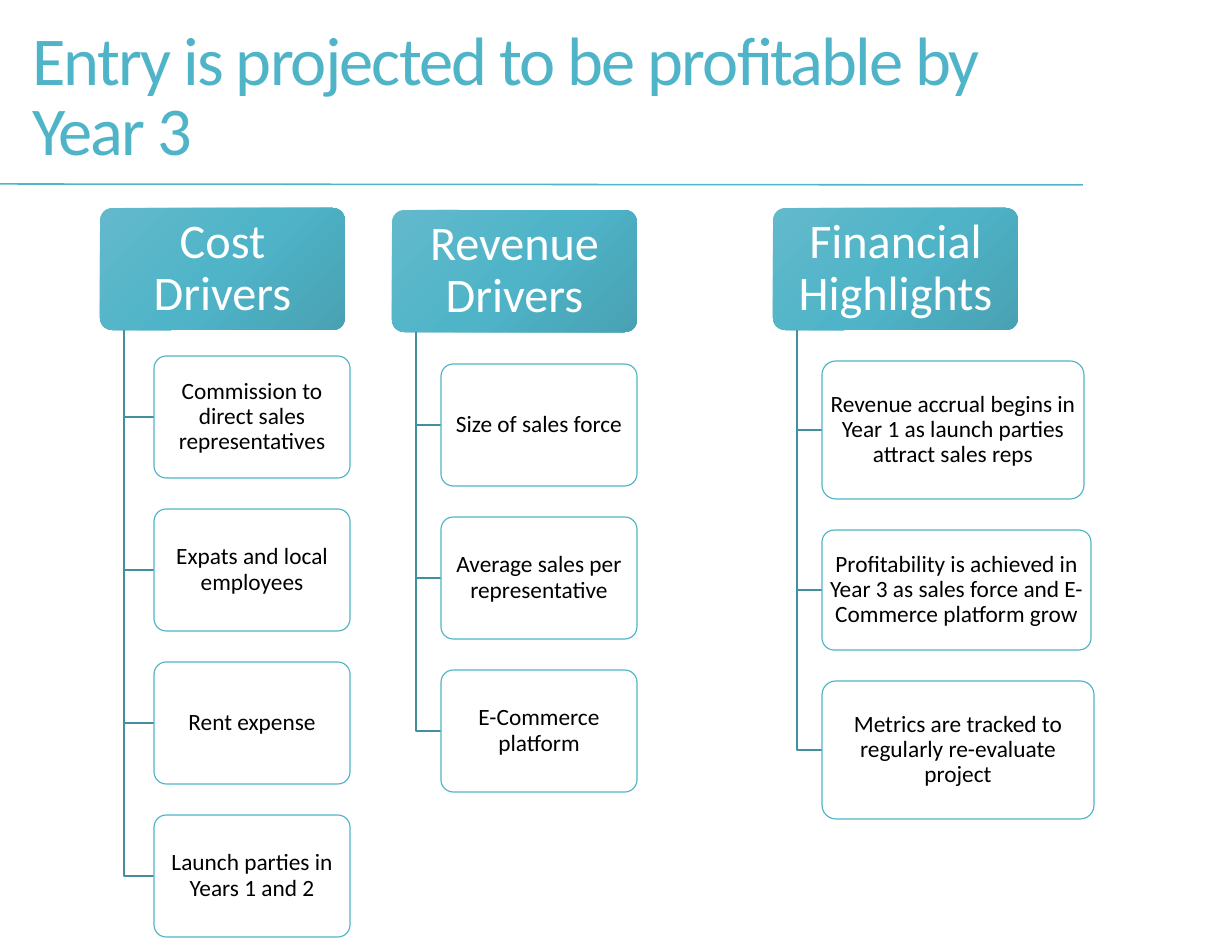
from copy import deepcopy
from dataclasses import dataclass

from lxml.etree import SubElement
from pptx import Presentation
from pptx.dml.color import RGBColor
from pptx.enum.shapes import MSO_CONNECTOR, MSO_SHAPE
from pptx.enum.text import MSO_ANCHOR as Anchor, MSO_AUTO_SIZE as AutoSize, PP_ALIGN as Align
from pptx.oxml.ns import qn
from pptx.util import Pt

EMU_PER_PX = 914400 / 112
FONT = "Calibri"
TEAL, DARK_TEAL, WHITE, BLACK = "50B4C8", "4090A0", "FFFFFF", "000000"
HEADER_STOPS = [(0, "61B9CB"), (0.5, TEAL), (1, "48A2B4")]
HEADER_WIDTH, HEADER_HEIGHT = 245, 122
TRUNK_INSET = 24
CARD_GAP = 31


@dataclass
class Card:
    text: str
    width: int = 196
    height: int = 122


@dataclass
class Column:
    heading: str
    left: int
    top: int
    card_left: int
    card_top: int
    cards: list[Card]


COLUMNS = [
    Column("Cost Drivers", 100, 208, 154, 356, [
        Card("Commission to direct sales representatives"),
        Card("Expats and local employees"),
        Card("Rent expense"),
        Card("Launch parties in Years 1 and 2"),
    ]),
    Column("Revenue Drivers", 392, 210, 441, 364, [
        Card("Size of sales force"),
        Card("Average sales per representative"),
        Card("E-Commerce platform"),
    ]),
    Column("Financial Highlights", 773, 208, 822, 361, [
        Card("Revenue accrual begins in Year 1 as launch parties attract sales reps", 262, 138),
        Card("Profitability is achieved in Year 3 as sales force and E-Commerce platform grow",
             269, 120),
        Card("Metrics are tracked to regularly re-evaluate project", 272, 138),
    ]),
]


def px(value: int) -> int:
    return round(value * EMU_PER_PX)


def color(value: str) -> RGBColor:
    return RGBColor.from_string(value)


def apply_format(target, values: dict) -> None:
    for name, value in values.items():
        setattr(target, name, value)


def set_line(shape, line_color: str, width: float) -> None:
    shape.line.color.rgb = color(line_color)
    shape.line.width = Pt(width)


def write_text(shape, text: str, size: int, text_color: str, frame_format: dict,
               align=Align.CENTER, spacing: float = 0.9):
    frame = shape.text_frame
    apply_format(frame, {"word_wrap": True, "auto_size": AutoSize.NONE,
                         "vertical_anchor": Anchor.MIDDLE, **frame_format})
    paragraph = frame.paragraphs[0]
    apply_format(paragraph, {"alignment": align, "line_spacing": spacing})
    run = paragraph.add_run()
    run.text = text
    apply_format(run.font, {"name": FONT, "size": Pt(size)})
    run.font.color.rgb = color(text_color)
    return run


def add_box(slide, left: int, top: int, width: int, height: int,
            text: str, size: int, text_color: str, inset_x: int, inset_y: int):
    shape = slide.shapes.add_shape(MSO_SHAPE.ROUNDED_RECTANGLE,
                                   px(left), px(top), px(width), px(height))
    shape.shadow.inherit = False
    shape.adjustments[0] = 0.1
    write_text(shape, text, size, text_color, {
        "margin_left": px(inset_x), "margin_right": px(inset_x),
        "margin_top": px(inset_y), "margin_bottom": px(inset_y)})
    return shape


def add_header(slide, column: Column) -> None:
    shape = add_box(slide, column.left, column.top, HEADER_WIDTH, HEADER_HEIGHT,
                    column.heading, 31, WHITE, 7, 4)
    shape.line.fill.background()
    shape.fill.gradient()
    shape.fill.gradient_angle = 315
    # A new gradient has two stops; add the middle one
    stop_list = shape._element.spPr.find(".//" + qn("a:gsLst"))
    stop_list.insert(1, deepcopy(stop_list[0]))
    for stop, (position, stop_color) in zip(shape.fill.gradient_stops, HEADER_STOPS):
        stop.position = position
        stop.color.rgb = color(stop_color)


def add_card(slide, left: int, top: int, card: Card) -> None:
    shape = add_box(slide, left, top, card.width, card.height, card.text, 15, BLACK, 3, 2)
    shape.fill.solid()
    shape.fill.fore_color.rgb = color(WHITE)
    fill_color = shape._element.spPr.find(qn("a:solidFill") + "/" + qn("a:srgbClr"))
    SubElement(fill_color, qn("a:alpha"), val="90000")
    set_line(shape, TEAL, 0.75)


def add_branch(slide, trunk_x: int, start_y: int, end_x: int, end_y: int) -> None:
    builder = slide.shapes.build_freeform(px(trunk_x), px(start_y))
    builder.add_line_segments([(px(trunk_x), px(end_y)), (px(end_x), px(end_y))], close=False)
    shape = builder.convert_to_shape()
    shape.shadow.inherit = False
    shape.fill.background()
    set_line(shape, DARK_TEAL, 0.75)


def add_column(slide, column: Column) -> None:
    add_header(slide, column)
    top = column.card_top
    for card in column.cards:
        add_branch(slide, column.left + TRUNK_INSET, column.top + HEADER_HEIGHT,
                   column.card_left, top + card.height // 2)
        add_card(slide, column.card_left, top, card)
        top += card.height + CARD_GAP


def add_title(slide, text: str) -> None:
    title = slide.shapes.title
    apply_format(title, {"left": px(21), "top": px(-16), "width": px(1043), "height": px(231)})
    run = write_text(title, text, 44, TEAL, {}, Align.LEFT, 0.85)
    run.font._element.set("spc", "-120")


def add_rule(slide) -> None:
    rule = slide.shapes.add_connector(MSO_CONNECTOR.STRAIGHT, 0, px(184), px(1083), px(185))
    SubElement(rule._element.spPr, qn("a:effectLst"))
    set_line(rule, TEAL, 1)


def main() -> None:
    presentation = Presentation()
    presentation.slide_width, presentation.slide_height = px(1232), px(952)
    slide = presentation.slides.add_slide(presentation.slide_layouts[5])

    # Title and the rule under it
    add_title(slide, "Entry is projected to be profitable by Year 3")
    add_rule(slide)

    # Three hierarchy columns
    for column in COLUMNS:
        add_column(slide, column)

    presentation.save("out.pptx")


if __name__ == "__main__":
    main()
